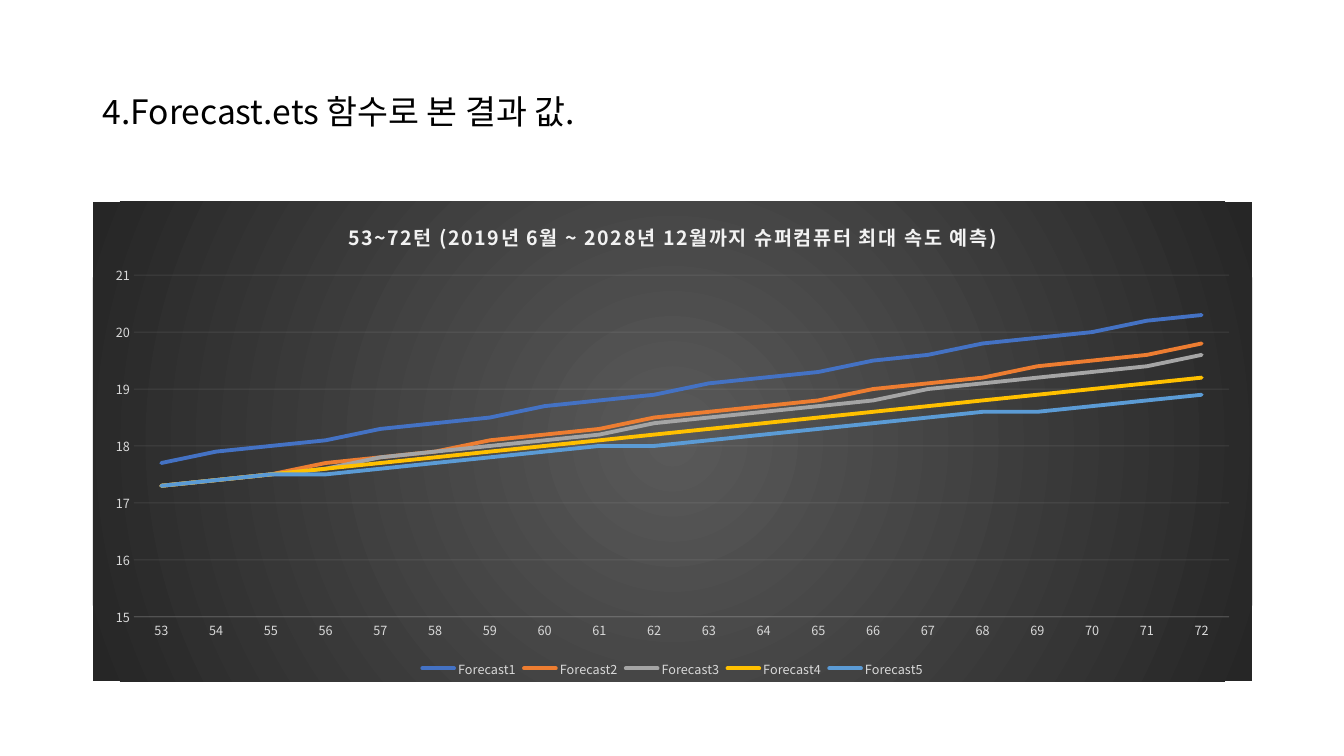
from lxml import etree
from pptx import Presentation
from pptx.chart.data import CategoryChartData
from pptx.dml.color import RGBColor
from pptx.enum.chart import XL_CHART_TYPE, XL_LEGEND_POSITION, XL_MARKER_STYLE, XL_TICK_MARK
from pptx.enum.text import MSO_ANCHOR
from pptx.oxml import parse_xml
from pptx.oxml.ns import nsdecls, qn
from pptx.util import Inches, Pt

LINE = XL_CHART_TYPE.LINE
BOTTOM = XL_LEGEND_POSITION.BOTTOM
PLAIN = XL_MARKER_STYLE.NONE
NO_TICK = XL_TICK_MARK.NONE
MIDDLE = MSO_ANCHOR.MIDDLE

HEADING = "4.Forecast.ets 함수로 본 결과 값."
CAPTION = "53~72턴 (2019년 6월 ~ 2028년 12월까지 슈퍼컴퓨터 최대 속도 예측)"
TURNS = [str(turn) for turn in range(53, 73)]
SPEEDS = {
    "Forecast1": [17.7, 17.9, 18, 18.1, 18.3, 18.4, 18.5, 18.7, 18.8, 18.9,
                  19.1, 19.2, 19.3, 19.5, 19.6, 19.8, 19.9, 20, 20.2, 20.3],
    "Forecast2": [17.3, 17.4, 17.5, 17.7, 17.8, 17.9, 18.1, 18.2, 18.3, 18.5,
                  18.6, 18.7, 18.8, 19, 19.1, 19.2, 19.4, 19.5, 19.6, 19.8],
    "Forecast3": [17.3, 17.4, 17.5, 17.6, 17.8, 17.9, 18, 18.1, 18.2, 18.4,
                  18.5, 18.6, 18.7, 18.8, 19, 19.1, 19.2, 19.3, 19.4, 19.6],
    "Forecast4": [17.3, 17.4, 17.5, 17.6, 17.7, 17.8, 17.9, 18, 18.1, 18.2,
                  18.3, 18.4, 18.5, 18.6, 18.7, 18.8, 18.9, 19, 19.1, 19.2],
    "Forecast5": [17.3, 17.4, 17.5, 17.5, 17.6, 17.7, 17.8, 17.9, 18, 18,
                  18.1, 18.2, 18.3, 18.4, 18.5, 18.6, 18.6, 18.7, 18.8, 18.9],
}
THEME = {
    "font": "Noto Sans CJK KR",
    "ink": "000000", "label": "D9D9D9", "light": "F2F2F2",
    "glow": "595959", "edge": "262626",
    "lines": ["4472C4", "ED7D31", "A5A5A5", "FFC000", "5B9BD5"],
    "heading": 24, "caption": 14, "base": 10, "small": 9,
    "stroke": 2.75, "hair": 0.75,
}
LEFT, WIDTH = 0.92, 11.5


def style(font, size, color):
    font.name = THEME["font"]
    font.size = Pt(size)
    font.color.rgb = RGBColor.from_string(color)


def set_asian(props):
    """Give Korean letters the theme font as well."""
    face = etree.Element(qn("a:ea"), typeface=THEME["font"])
    props.find(qn("a:latin")).addnext(face)


def draw_line(line, width, color):
    """Set width and colour; return the line's XML element."""
    line.width = Pt(width)
    line.color.rgb = RGBColor.from_string(color)
    return line.fill._xPr


def draw_faint(line):
    stroke = draw_line(line, THEME["hair"], THEME["light"])
    color = stroke.find(".//" + qn("a:srgbClr"))
    etree.SubElement(color, qn("a:alpha"), val="10000")


def add_heading(slide):
    box = slide.shapes.add_textbox(Inches(LEFT), Inches(0.4), Inches(WIDTH), Inches(1.45))
    frame = box.text_frame
    frame.word_wrap = True
    frame.vertical_anchor = MIDDLE
    frame.text = HEADING
    para = frame.paragraphs[0]
    para.line_spacing = 0.9
    run = para.runs[0]
    style(run.font, THEME["heading"], THEME["ink"])
    set_asian(run.font._element)


def add_caption(chart):
    chart.has_title = True
    chart.chart_title.include_in_layout = False
    frame = chart.chart_title.text_frame
    frame.text = CAPTION
    font = frame.paragraphs[0].runs[0].font
    style(font, THEME["caption"], THEME["light"])
    font.bold = True
    font._element.set("spc", "100")
    set_asian(font._element)


def fill_back(chart):
    """Lay a round gradient behind the whole chart."""
    space = chart._chartSpace
    back = parse_xml(
        f'<c:spPr {nsdecls("c", "a")}><a:gradFill><a:gsLst>'
        f'<a:gs pos="0"><a:srgbClr val="{THEME["glow"]}"/></a:gs>'
        f'<a:gs pos="100000"><a:srgbClr val="{THEME["edge"]}"/></a:gs></a:gsLst>'
        '<a:path path="circle"><a:fillToRect l="50000" t="50000" r="50000" b="50000"/></a:path>'
        '</a:gradFill><a:ln><a:noFill/></a:ln></c:spPr>')
    space.find(qn("c:chart")).addnext(back)
    if space.find(qn("c:roundedCorners")) is None:
        corners = etree.Element(qn("c:roundedCorners"), val="0")
        space.find(qn("c:date1904")).addnext(corners)


def add_graph(slide):
    data = CategoryChartData(number_format="General")
    data.categories = TURNS
    for name, speeds in SPEEDS.items():
        data.add_series(name, speeds)
    chart = slide.shapes.add_chart(
        LINE, Inches(LEFT), Inches(2), Inches(WIDTH), Inches(4.76), data).chart
    style(chart.font, THEME["base"], THEME["ink"])
    fill_back(chart)
    add_caption(chart)

    plot = chart.plots[0]
    plot.vary_by_categories = False
    for series, color in zip(plot.series, THEME["lines"]):
        series.smooth = False
        series.marker.style = PLAIN
        stroke = draw_line(series.format.line, THEME["stroke"], color)
        stroke.set("cap", "rnd")

    turn_axis, speed_axis = chart.category_axis, chart.value_axis
    for axis in (turn_axis, speed_axis):
        axis.major_tick_mark = axis.minor_tick_mark = NO_TICK
        style(axis.tick_labels.font, THEME["small"], THEME["label"])
    draw_faint(turn_axis.format.line)
    speed_axis.format.line.fill.background()
    speed_axis.minimum_scale = 15
    speed_axis.maximum_scale = 21
    speed_axis.major_unit = 1
    speed_axis.has_major_gridlines = True
    draw_faint(speed_axis.major_gridlines.format.line)

    chart.has_legend = True
    chart.legend.position = BOTTOM
    chart.legend.include_in_layout = False
    style(chart.legend.font, THEME["small"], THEME["label"])


def main():
    deck = Presentation()
    deck.slide_width, deck.slide_height = Inches(13.33), Inches(7.5)
    slide = deck.slides.add_slide(deck.slide_layouts[6])
    add_heading(slide)
    add_graph(slide)
    deck.save("out.pptx")


if __name__ == "__main__":
    main()
